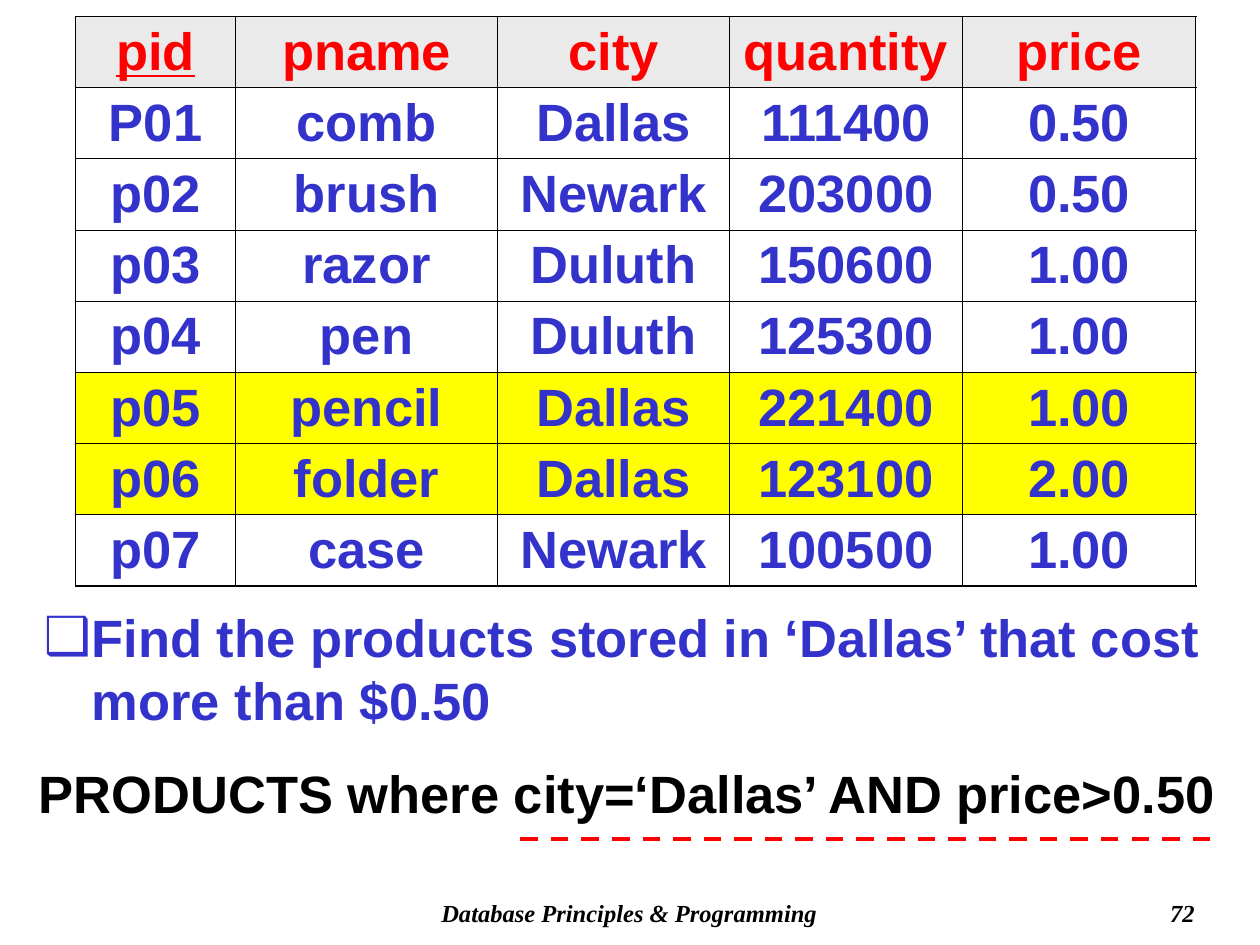
from pptx import Presentation
from pptx import util as u
from pptx.dml.color import RGBColor
from pptx.enum import dml, shapes, text
from pptx.oxml.xmlchemy import OxmlElement

BLACK = RGBColor(0, 0, 0)
WHITE = RGBColor(255, 255, 255)
RED = RGBColor(255, 0, 0)
BLUE = RGBColor(0x33, 0x33, 0xCC)
YELLOW = RGBColor(255, 255, 0)
GREY = RGBColor(0xEA, 0xEA, 0xEA)

PRODUCTS = [
    ("pid", "pname", "city", "quantity", "price"),
    ("P01", "comb", "Dallas", "111400", "0.50"),
    ("p02", "brush", "Newark", "203000", "0.50"),
    ("p03", "razor", "Duluth", "150600", "1.00"),
    ("p04", "pen", "Duluth", "125300", "1.00"),
    ("p05", "pencil", "Dallas", "221400", "1.00"),
    ("p06", "folder", "Dallas", "123100", "2.00"),
    ("p07", "case", "Newark", "100500", "1.00"),
]
MATCHES = {"p05", "p06"}
QUESTION = "Find the products stored in ‘Dallas’ that cost more than $0.50"
ANSWER = "PRODUCTS where city=‘Dallas’ AND price>0.50"
FOOTER = "Database Principles & Programming"
PAGE_NUMBER = "72"

COLUMN_WIDTHS = (1.27, 2.08, 1.84, 1.85, 1.85)
TABLE_HEIGHT = 4.52
CELL_MARGIN = u.Inches(0.03)
THIN, THICK = 0.45, 1.08
HANGING = u.Inches(0.38)
CENTER, LEFT, RIGHT = text.PP_ALIGN.CENTER, text.PP_ALIGN.LEFT, text.PP_ALIGN.RIGHT


def write(para, words, color, align=CENTER, size=30, face="Arial", italic=False):
    para.alignment = align
    span = para.add_run()
    span.text = words
    font = span.font
    font.name, font.size, font.bold = face, u.Pt(size), True
    font.color.rgb = color
    if italic:
        font.italic = True
    return span


def add_box(page, left, top, width, height):
    """Add a wrapping text box and return its first paragraph."""
    box = page.shapes.add_textbox(*map(u.Inches, (left, top, width, height)))
    box.text_frame.word_wrap = True
    return box.text_frame.paragraphs[0]


def element(tag, *children, **attributes):
    node = OxmlElement(tag)
    for name, value in attributes.items():
        node.set(name, str(value))
    node.extend(children)
    return node


def add_bullet(para, symbol, color):
    properties = para._p.get_or_add_pPr()
    properties.set("marL", str(HANGING))
    properties.set("indent", str(-HANGING))
    properties.extend([
        element("a:buClr", element("a:srgbClr", val=color)),
        element("a:buFont", typeface="Arial"),
        element("a:buChar", char=symbol),
    ])


def add_border(cell, side, points):
    fill = element("a:solidFill", element("a:srgbClr", val=BLACK))
    line = element(f"a:ln{side}", fill, w=u.Pt(points))
    cell._tc.get_or_add_tcPr().append(line)


def add_products(page):
    row_count, column_count = len(PRODUCTS), len(COLUMN_WIDTHS)
    table = page.shapes.add_table(
        row_count, column_count, u.Inches(0.6), u.Inches(0.13),
        u.Inches(sum(COLUMN_WIDTHS)), u.Inches(TABLE_HEIGHT)).table
    table.first_row = table.horz_banding = False
    for column, width in zip(table.columns, COLUMN_WIDTHS):
        column.width = u.Inches(width)
    for r, record in enumerate(PRODUCTS):
        header = r == 0
        background = GREY if header else YELLOW if record[0] in MATCHES else WHITE
        for c, value in enumerate(record):
            cell = table.cell(r, c)
            outer = {"L": c == 0, "R": c == column_count - 1,
                     "T": header, "B": r == row_count - 1}
            for side, is_outer in outer.items():
                add_border(cell, side, THICK if is_outer else THIN)
            cell.fill.solid()
            cell.fill.fore_color.rgb = background
            cell.margin_top = cell.margin_bottom = CELL_MARGIN
            cell.vertical_anchor = text.MSO_ANCHOR.MIDDLE
            span = write(cell.text_frame.paragraphs[0], value, RED if header else BLUE)
            if header and c == 0:
                span.font.underline = True


def add_underline(page):
    line = page.shapes.add_connector(
        shapes.MSO_CONNECTOR.STRAIGHT,
        *map(u.Inches, (4.13, 6.66, 9.65, 6.66)))
    line.line.color.rgb = RED
    line.line.width = u.Pt(2.5)
    line.line.dash_style = dml.MSO_LINE.DASH
    line._element.spPr.append(element("a:effectLst"))


def main():
    deck = Presentation()
    deck.slide_width, deck.slide_height = u.Inches(10), u.Inches(7.5)
    page = deck.slides.add_slide(deck.slide_layouts[6])

    footer_style = {"size": 14, "face": "Times New Roman", "italic": True}
    write(add_box(page, 2.83, 7.08, 4.33, 0.33), FOOTER, BLACK, **footer_style)
    write(add_box(page, 7.5, 7.08, 2.08, 0.33), PAGE_NUMBER, BLACK, RIGHT, **footer_style)

    question = add_box(page, 0.25, 4.75, 9.58, 1.13)
    add_bullet(question, "❑", BLUE)
    write(question, QUESTION, BLUE, LEFT)

    add_products(page)
    write(add_box(page, 0, 5.99, 9.96, 0.6), ANSWER, BLACK)
    add_underline(page)
    deck.save("out.pptx")


if __name__ == "__main__":
    main()
